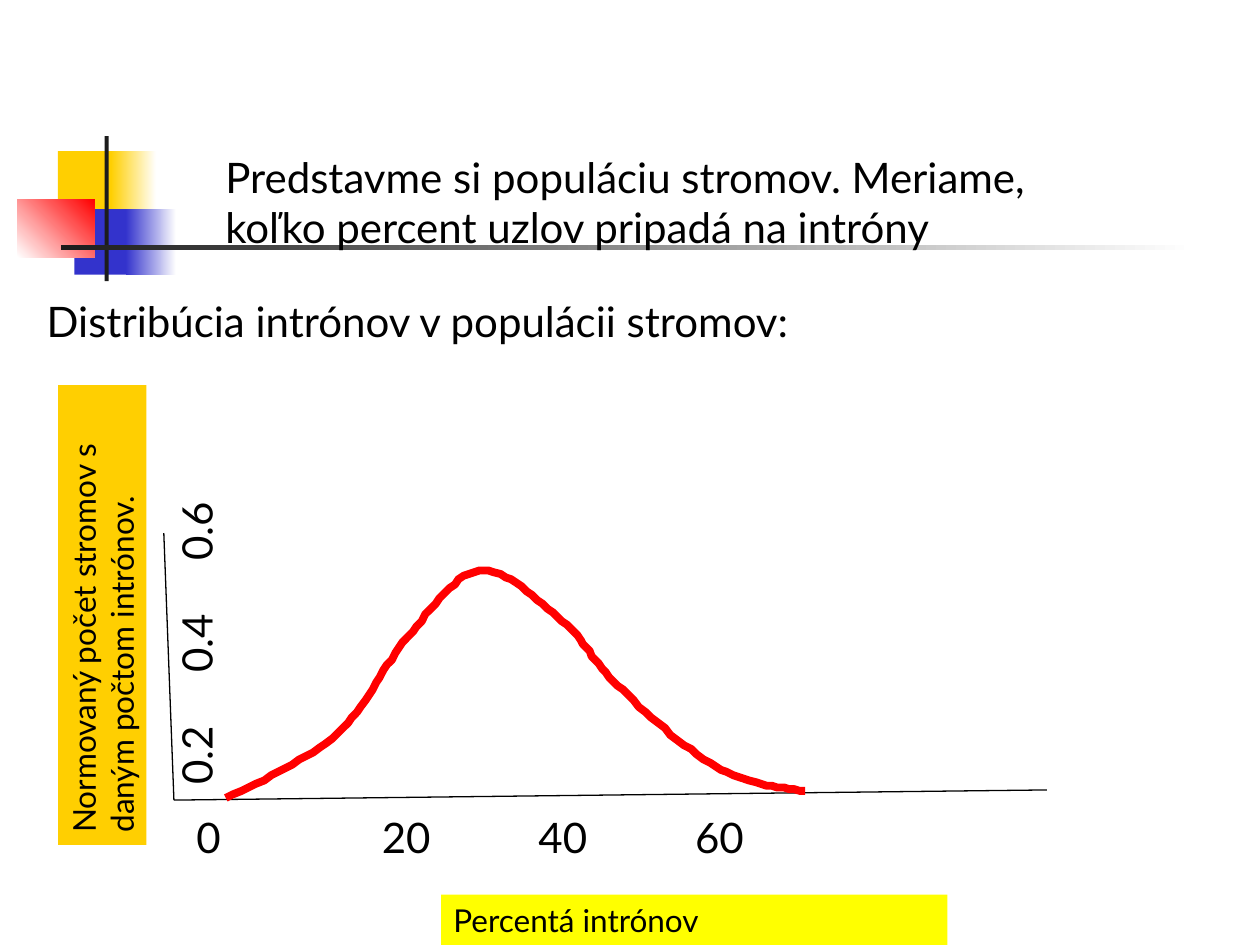
from dataclasses import dataclass

from lxml import etree
from pptx import Presentation
from pptx.dml.color import RGBColor
from pptx.enum.shapes import MSO_CONNECTOR, MSO_SHAPE
from pptx.enum.text import MSO_ANCHOR, PP_ALIGN
from pptx.oxml.ns import qn
from pptx.util import Pt

RECTANGLE = MSO_SHAPE.RECTANGLE
STRAIGHT = MSO_CONNECTOR.STRAIGHT
TOP = MSO_ANCHOR.TOP
LEFT = PP_ALIGN.LEFT
Point = tuple[float, float]


@dataclass(frozen=True)
class Theme:
    font: str = "Lato"
    heading: int = 24
    label: int = 18
    black: str = "000000"
    white: str = "FFFFFF"
    gold: str = "FFCF01"
    blue: str = "3333CC"
    red: str = "FF0000"
    charcoal: str = "1C1C1C"
    yellow: str = "FFFF00"


@dataclass(frozen=True)
class Frame:
    left: float
    top: float
    width: float
    height: float

    def lengths(self) -> list[Pt]:
        return [Pt(value) for value in (self.left, self.top, self.width, self.height)]


@dataclass(frozen=True)
class Block:
    frame: Frame
    color: str
    end_color: str = ""
    angle: float = 0


@dataclass(frozen=True)
class Caption:
    text: str
    frame: Frame
    size: int
    fill: str = ""
    rotation: float = 0
    tabs: tuple[float, ...] = ()


THEME = Theme()

ORNAMENT = [
    Block(Frame(33.1, 86.4, 34.6, 37.4), THEME.gold),
    Block(Frame(63.4, 86.4, 25.9, 37.4), THEME.gold, THEME.white),
    Block(Frame(42.5, 119.5, 33.1, 37.4), THEME.blue),
    Block(Frame(72, 119.5, 28.8, 37.4), THEME.blue, THEME.white),
    Block(Frame(10, 113.8, 44, 33.1), THEME.white, THEME.red, 45),
    Block(Frame(59.8, 77.8, 2.3, 82.8), THEME.charcoal),
    Block(Frame(34.6, 140.2, 648, 2.5), THEME.charcoal, THEME.white),
]

CAPTIONS = [
    Caption("Predstavme si populáciu stromov. Meriame, koľko percent uzlov pripadá na intróny",
            Frame(121.7, 82.8, 476, 93.6), THEME.heading),
    Caption("Distribúcia intrónov v populácii stromov:",
            Frame(19.6, 165.6, 635, 36), THEME.heading),
    Caption("Percentá intrónov", Frame(252, 511.2, 289.4, 28.8), THEME.label, THEME.yellow),
    Caption("Normovaný počet stromov s daným počtom intrónov.",
            Frame(-72.9, 326.2, 262.8, 50.4), THEME.label, THEME.gold, 270),
    Caption("0\t20\t40\t60", Frame(105.1, 460.1, 493.2, 36), THEME.heading,
            tabs=(106, 195.5, 285)),
    Caption("0.2\t0.4\t0.6", Frame(7.9, 333.4, 208.1, 36), THEME.heading,
            rotation=270, tabs=(64, 128)),
]

ORIGIN = (99.4, 457.2)
AXIS_ENDS = [(598.3, 451.4), (93.6, 304.6)]

CURVE_START = (128.9, 455.8)
CURVE_SEGMENTS = [
    ((152.6, 445), (175.7, 434.2), (193, 419)),
    ((209.5, 404.6), (217.4, 383), (230.4, 367.2)),
    ((244.1, 352.1), (258.5, 328.3), (273.6, 326.2)),
    ((288.7, 324), (308.2, 343.4), (321.1, 355)),
    ((334.8, 365.8), (338.4, 378), (352.8, 391.7)),
    ((367.2, 406.1), (391, 427.7), (409, 437.8)),
    ((426.2, 447.8), (443.5, 450), (460.1, 452.2)),
]
STEPS = 16


def rgb(color: str) -> RGBColor:
    return RGBColor.from_string(color)


def draw_block(page, block: Block) -> None:
    box = page.shapes.add_shape(RECTANGLE, *block.frame.lengths())
    box.shadow.inherit = False
    box.line.fill.background()
    if not block.end_color:
        box.fill.solid()
        box.fill.fore_color.rgb = rgb(block.color)
        return
    box.fill.gradient()
    box.fill.gradient_angle = block.angle
    for stop, color in zip(box.fill.gradient_stops, (block.color, block.end_color)):
        stop.color.rgb = rgb(color)


def write_text(box, text: str, *, size: int, color: str, tabs: tuple[float, ...] = ()) -> None:
    frame = box.text_frame
    frame.word_wrap = True
    frame.vertical_anchor = TOP
    para = frame.paragraphs[0]
    para.alignment = LEFT
    span = para.add_run()
    span.text = text
    span.font.name = THEME.font
    span.font.size = Pt(size)
    span.font.color.rgb = rgb(color)
    if tabs:
        properties = para._p.get_or_add_pPr()
        tab_list = etree.SubElement(properties, qn("a:tabLst"))
        for position in tabs:
            etree.SubElement(tab_list, qn("a:tab"), pos=str(Pt(position)), algn="l")


def draw_caption(page, caption: Caption) -> None:
    box = page.shapes.add_textbox(*caption.frame.lengths())
    box.rotation = caption.rotation
    if caption.fill:
        box.fill.solid()
        box.fill.fore_color.rgb = rgb(caption.fill)
    write_text(box, caption.text, size=caption.size, color=THEME.black, tabs=caption.tabs)


def draw_axis(page, end: Point) -> None:
    axis = page.shapes.add_connector(STRAIGHT, *[Pt(value) for value in ORIGIN + end])
    axis.line.color.rgb = rgb(THEME.black)
    axis.line.width = Pt(0.75)
    etree.SubElement(axis._element.spPr, qn("a:effectLst"))


def bezier_point(points: tuple[Point, ...], t: float) -> Point:
    weights = ((1 - t) ** 3, 3 * t * (1 - t) ** 2, 3 * t ** 2 * (1 - t), t ** 3)
    x, y = (sum(w * value for w, value in zip(weights, axis)) for axis in zip(*points))
    return x, y


def draw_curve(page) -> None:
    start = CURVE_START
    vertices = []
    for segment in CURVE_SEGMENTS:
        vertices += [bezier_point((start, *segment), step / STEPS) for step in range(1, STEPS + 1)]
        start = segment[-1]
    builder = page.shapes.build_freeform(*CURVE_START, scale=Pt(1))
    builder.add_line_segments(vertices, close=False)
    curve = builder.convert_to_shape()
    curve.shadow.inherit = False
    curve.fill.background()
    curve.line.color.rgb = rgb(THEME.red)
    curve.line.width = Pt(4.5)


def main() -> None:
    deck = Presentation()
    deck.slide_width, deck.slide_height = Pt(720), Pt(540)
    page = deck.slides.add_slide(deck.slide_layouts[6])
    for block in ORNAMENT:
        draw_block(page, block)
    for end in AXIS_ENDS:
        draw_axis(page, end)
    draw_curve(page)
    for caption in CAPTIONS:
        draw_caption(page, caption)
    deck.save("out.pptx")


if __name__ == "__main__":
    main()
